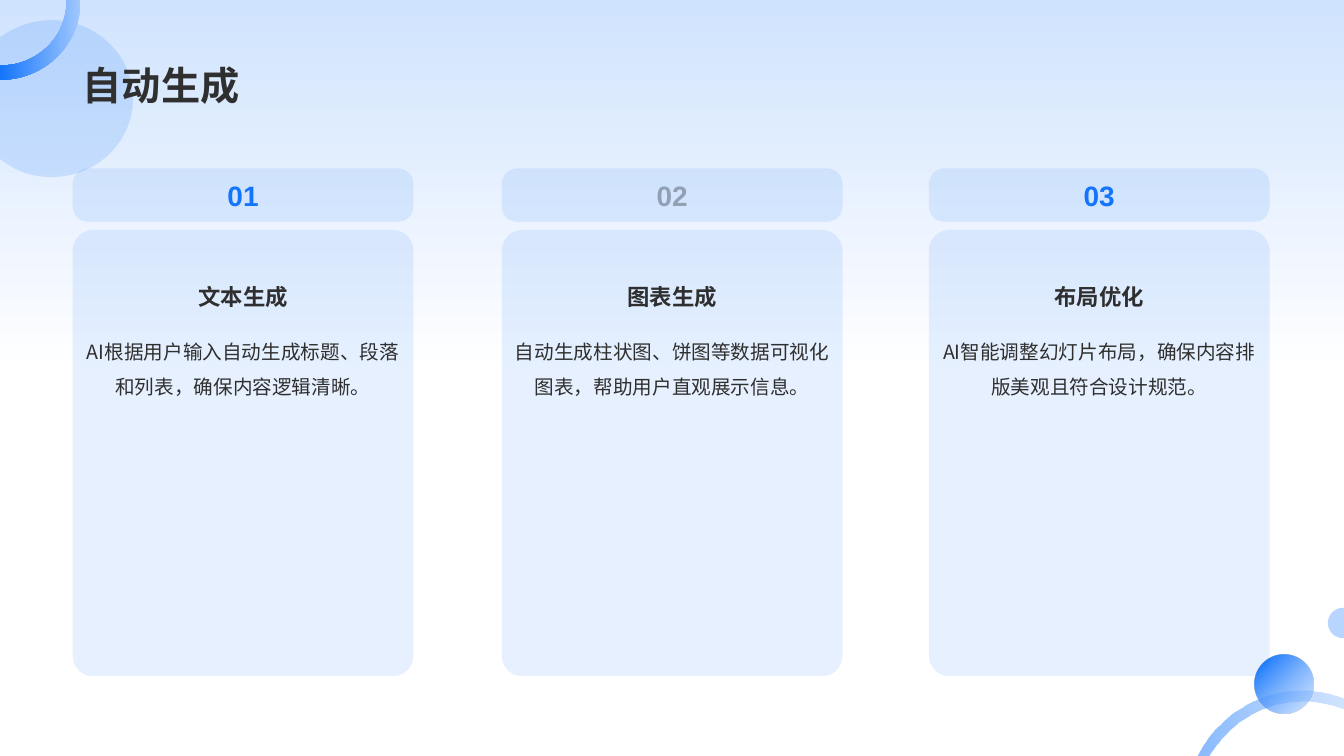
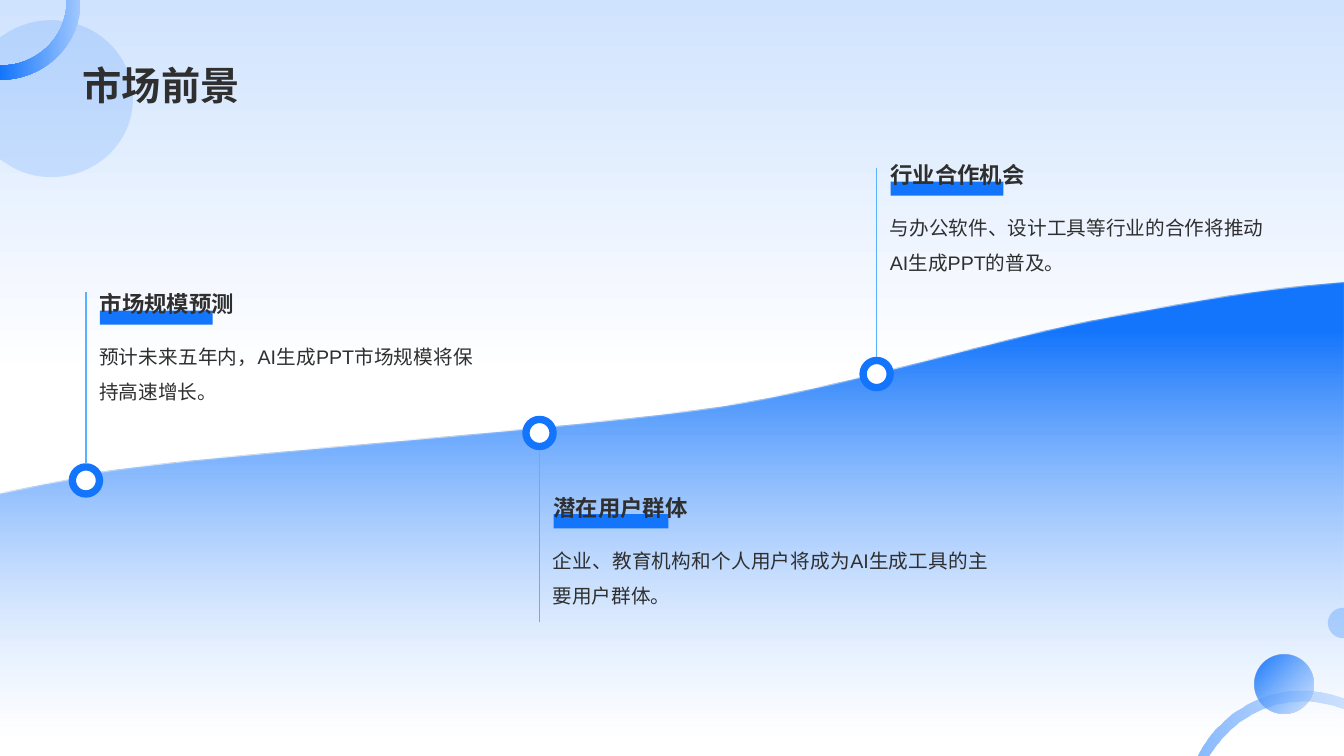
from lxml import etree
from pptx import Presentation
from pptx.dml.color import RGBColor
from pptx.enum.shapes import MSO_CONNECTOR, MSO_SHAPE
from pptx.enum.text import MSO_ANCHOR, MSO_AUTO_SIZE, PP_ALIGN
from pptx.oxml.ns import qn
from pptx.util import Pt

LEFT, CENTER, JUSTIFY = PP_ALIGN.LEFT, PP_ALIGN.CENTER, PP_ALIGN.JUSTIFY
TOP, MIDDLE, BOTTOM = MSO_ANCHOR.TOP, MSO_ANCHOR.MIDDLE, MSO_ANCHOR.BOTTOM
GROW, FIXED = MSO_AUTO_SIZE.SHAPE_TO_FIT_TEXT, MSO_AUTO_SIZE.NONE
OVAL, RECTANGLE, ROUNDED = MSO_SHAPE.OVAL, MSO_SHAPE.RECTANGLE, MSO_SHAPE.ROUNDED_RECTANGLE
STRAIGHT = MSO_CONNECTOR.STRAIGHT

BLUE = RGBColor(0x13, 0x75, 0xFC)
LIGHT_BLUE = RGBColor(0xA1, 0xC8, 0xFE)
PALE_BLUE = RGBColor(0xAF, 0xD0, 0xFE)
SKY = RGBColor(0xD0, 0xE3, 0xFE)
LINE_BLUE = RGBColor(0x5A, 0xB1, 0xFF)
GRAY = RGBColor(0x77, 0x84, 0x95)
INK = RGBColor(0x2F, 0x2F, 0x2F)
WHITE = RGBColor(0xFF, 0xFF, 0xFF)

HAN_FONT = "Noto Sans CJK SC"
LATIN_FONT = "Arial"

WIDTH, HEIGHT = 960, 540
MARGIN = 51.9

# Left edge, number, number colour, its opacity in percent, heading, text
CARDS_TITLE = "自动生成"
CARDS = [
    (MARGIN, "01", BLUE, 100, "文本生成", "AI根据用户输入自动生成标题、段落和列表，确保内容逻辑清晰。"),
    (358.4, "02", GRAY, 70, "图表生成", "自动生成柱状图、饼图等数据可视化图表，帮助用户直观展示信息。"),
    (663.5, "03", BLUE, 100, "布局优化", "AI智能调整幻灯片布局，确保内容排版美观且符合设计规范。"),
]
CARD_WIDTH = 243.4

# Marker centre, far end of the stem, heading top, text width, bar width
MARKET_TITLE = "市场前景"
MILESTONES = [
    {"heading": "市场规模预测", "text": "预计未来五年内，AI生成PPT市场规模将保持高速增长。",
     "center": (61.4, 343.2), "stem_end": 208.4, "top": 207.1, "width": 267.1, "bar": 80.6},
    {"heading": "潜在用户群体", "text": "企业、教育机构和个人用户将成为AI生成工具的主要用户群体。",
     "center": (385.4, 309.3), "stem_end": 444.2, "top": 352.5, "width": 310.8, "bar": 82.1},
    {"heading": "行业合作机会", "text": "与办公软件、设计工具等行业的合作将推动AI生成PPT的普及。",
     "center": (626.2, 267.2), "stem_end": 120.2, "top": 114.9, "width": 267.1, "bar": 80.6},
]
MARKER_SIZE, STEM_GAP = 19.4, 11.9

# Outlines: pairs are corners, sixes are Bezier curves
BIG_DISC = [
    (36.7, 14.4), (69.1, 14.4, 95, 39.6, 95, 70.6), (95, 101.5, 69.1, 126.5, 36.7, 126.5),
    (24.5, 126.5, 13.7, 123.1, 4.3, 116.6), (0, 113.8), (0, 26.6), (4.3, 23.8),
    (13.7, 18, 24.5, 14.4, 36.7, 14.4),
]
CORNER_RING = [
    (47.5, 0), (57.6, 0), (57.6, 5.8), (54.7, 34.6, 30.2, 56.9, 0.7, 56.9), (0, 56.9),
    (0, 46.8), (0.7, 46.8), (25.2, 46.8, 45.4, 28.8, 47.5, 4.3),
]
BOTTOM_ARC = [
    (930.2, 493.2), (939.6, 493.2, 947.5, 494.6, 955.4, 497.5), (960, 499), (960, 506.9),
    (953.3, 504.7), (946.1, 502.6, 938.2, 501.1, 930.2, 501.1),
    (903.6, 501.1, 880.6, 514.8, 866.9, 535), (863.3, 540), (855.4, 540), (856.1, 537.8),
    (870.5, 511.2, 898.6, 493.2, 930.2, 493.2),
]
EDGE_DISC = [
    (959, 434.2), (960, 434.2), (960, 455.8), (959, 455.8),
    (953.3, 455.8, 948.5, 450.7, 948.5, 445), (948.5, 439.2, 953.3, 434.2, 959, 434.2),
]
HILL = [
    (960, 201.6), (960, 540), (0, 540), (0, 352.8), (31, 346.3),
    (85.7, 337, 40.3, 340.6, 120.2, 331.2), (200.9, 321.8, 419.8, 305.3, 514.1, 290.9),
    (609.1, 275.8, 713.5, 241.2, 792.7, 226.8), (862.6, 213.8, 895.7, 207.4, 953.3, 202.3),
]


def set_opacity(element, percents):
    """Give the colours found inside element their opacities, in order."""
    for color, percent in zip(element.iter(qn("a:srgbClr")), percents):
        if percent < 100:
            etree.SubElement(color, qn("a:alpha")).set("val", str(percent * 1000))


def set_gradient(fill, stops, angle):
    """Stops are (position in percent, colour); angle is counter-clockwise."""
    fill.gradient()
    fill.gradient_angle = angle
    for stop, (position, color) in zip(fill.gradient_stops, stops):
        stop.position = position / 100
        stop.color.rgb = color


def paint(shape, color=None, opacity=100, stops=(), angle=0):
    """Fill with one colour, or with stops of (position, colour, opacity)."""
    shape.shadow.inherit = False
    shape.line.fill.background()
    if stops:
        set_gradient(shape.fill, [stop[:2] for stop in stops], angle)
        opacities = [stop[2] for stop in stops]
    else:
        shape.fill.solid()
        shape.fill.fore_color.rgb = color
        opacities = [opacity]
    set_opacity(shape.element.spPr, opacities)


def bend(segment, curve, shape):
    """Turn a straight path segment into a Bezier curve ending at the same point."""
    segment.tag = qn("a:cubicBezTo")
    for index in (0, 1):
        x, y = curve[2 * index:2 * index + 2]
        control = etree.Element(qn("a:pt"))
        control.set("x", str(Pt(x) - shape.left))
        control.set("y", str(Pt(y) - shape.top))
        segment.insert(index, control)


def add_outline(slide, outline, **look):
    vertices = [(Pt(part[-2]), Pt(part[-1])) for part in outline]
    builder = slide.shapes.build_freeform(*vertices[0])
    builder.add_line_segments(vertices[1:], close=True)
    shape = builder.convert_to_shape()
    segments = list(shape.element.spPr.iter(qn("a:lnTo")))
    for segment, part in zip(segments, outline[1:]):
        if len(part) == 6:
            bend(segment, part, shape)
    paint(shape, **look)
    return shape


def add_box(slide, kind, left, top, width, height, **look):
    shape = slide.shapes.add_shape(kind, Pt(left), Pt(top), Pt(width), Pt(height))
    paint(shape, **look)
    return shape


def write(frame, text, size, color=INK, bold=False, latin=HAN_FONT, align=LEFT, spacing=None):
    para = frame.paragraphs[0]
    para.alignment = align
    if spacing:
        para.line_spacing = spacing
    span = para.add_run()
    span.text = text
    font = span.font
    font.size, font.bold, font.name = Pt(size), bold, latin
    font.color.rgb = color
    latin_element = span.font._element.find(qn("a:latin"))
    han = etree.Element(qn("a:ea"))
    han.set("typeface", HAN_FONT)
    latin_element.addnext(han)
    return span


def add_text(slide, left, top, width, height, text, size, anchor=TOP, inset=True, **style):
    box = slide.shapes.add_textbox(Pt(left), Pt(top), Pt(width), Pt(height))
    frame = box.text_frame
    frame.word_wrap = True
    frame.auto_size = GROW
    frame.vertical_anchor = anchor
    if not inset:
        frame.margin_left = frame.margin_right = frame.margin_top = frame.margin_bottom = 0
    write(frame, text, size, **style)


def add_decoration(slide, layout):
    """Draw the corner ornaments and hand them over to the layout."""
    fade = [(0, LIGHT_BLUE, 100), (100, BLUE, 100)]
    half_fade = [(0, LIGHT_BLUE, 49), (100, BLUE, 50)]
    ball_fade = [(1, LIGHT_BLUE, 50), (91, BLUE, 100)]
    ornaments = [
        add_outline(slide, BIG_DISC, color=BLUE, opacity=15),
        add_outline(slide, CORNER_RING, stops=fade, angle=180),
        add_outline(slide, BOTTOM_ARC, stops=half_fade, angle=180),
        add_outline(slide, EDGE_DISC, color=BLUE, opacity=30),
        add_box(slide, OVAL, 896, 467.4, 42, 42, stops=ball_fade, angle=135),
    ]
    for index, shape in enumerate(ornaments):
        shape.element.nvSpPr.cNvPr.id = 100 + index
        layout.shapes.element.insert(2 + index, shape.element)


def prepare_layout(deck):
    set_gradient(deck.slide_master.background.fill, [(0, SKY), (50, WHITE)], 270)
    layout = deck.slide_layouts.get_by_name("Title Only")
    title = layout.placeholders[0]
    title.left, title.top = Pt(MARGIN), Pt(10.4)
    title.width, title.height = Pt(WIDTH - 2 * MARGIN), Pt(70.8)
    title.text_frame.vertical_anchor = BOTTOM
    title.text_frame.auto_size = FIXED
    return layout


def add_slide(deck, layout, title):
    slide = deck.slides.add_slide(layout)
    write(slide.shapes.title.text_frame, title, 28, bold=True)
    return slide


def add_card(slide, left, number, color, opacity, heading, text):
    panel = add_box(slide, ROUNDED, left, 164.2, CARD_WIDTH, 318.8, color=BLUE, opacity=10)
    panel.adjustments[0] = 0.06
    tab = add_box(slide, ROUNDED, left, 120.3, CARD_WIDTH, 38.2, color=BLUE, opacity=10)
    tab.adjustments[0] = 0.29
    tab.text_frame.vertical_anchor = MIDDLE
    span = write(tab.text_frame, number, 20, color, bold=True, latin=LATIN_FONT, align=CENTER)
    set_opacity(span.font._element, [opacity])
    add_text(slide, left, 198.5, CARD_WIDTH, 26.6, heading, 16, anchor=BOTTOM,
             bold=True, align=CENTER)
    add_text(slide, left, 230.7, CARD_WIDTH, 55.4, text, 14, align=CENTER, spacing=1.5)


def add_milestone(slide, heading, text, center, stem_end, top, width, bar):
    x, y = center
    half = MARKER_SIZE / 2
    marker = add_box(slide, OVAL, x - half, y - half, MARKER_SIZE, MARKER_SIZE, color=WHITE)
    marker.line.color.rgb = BLUE
    marker.line.width = Pt(5.25)

    stem_start = y + (STEM_GAP if stem_end > y else -STEM_GAP)
    stem = slide.shapes.add_connector(STRAIGHT, Pt(x), Pt(stem_end), Pt(x), Pt(stem_start))
    stem.line.color.rgb = LINE_BLUE
    stem.line.width = Pt(1)
    etree.SubElement(stem.element.spPr, qn("a:effectLst"))

    add_text(slide, x + 9.4, top + 31, width, 25.2, text, 14, inset=False,
             latin=LATIN_FONT, align=JUSTIFY, spacing=1.5)
    add_box(slide, RECTANGLE, x + 10, top + 14.8, bar, 10.1, color=BLUE)
    add_text(slide, x + 10, top, width, 19.4, heading, 16, anchor=BOTTOM, inset=False, bold=True)


def main():
    deck = Presentation()
    deck.slide_width, deck.slide_height = Pt(WIDTH), Pt(HEIGHT)
    layout = prepare_layout(deck)

    cards_slide = add_slide(deck, layout, CARDS_TITLE)
    add_decoration(cards_slide, layout)
    for card in CARDS:
        add_card(cards_slide, *card)

    market_slide = add_slide(deck, layout, MARKET_TITLE)
    add_outline(market_slide, HILL, stops=[(10, BLUE, 100), (96, PALE_BLUE, 0)], angle=270)
    for milestone in MILESTONES:
        add_milestone(market_slide, **milestone)

    deck.save("out.pptx")


if __name__ == "__main__":
    main()
